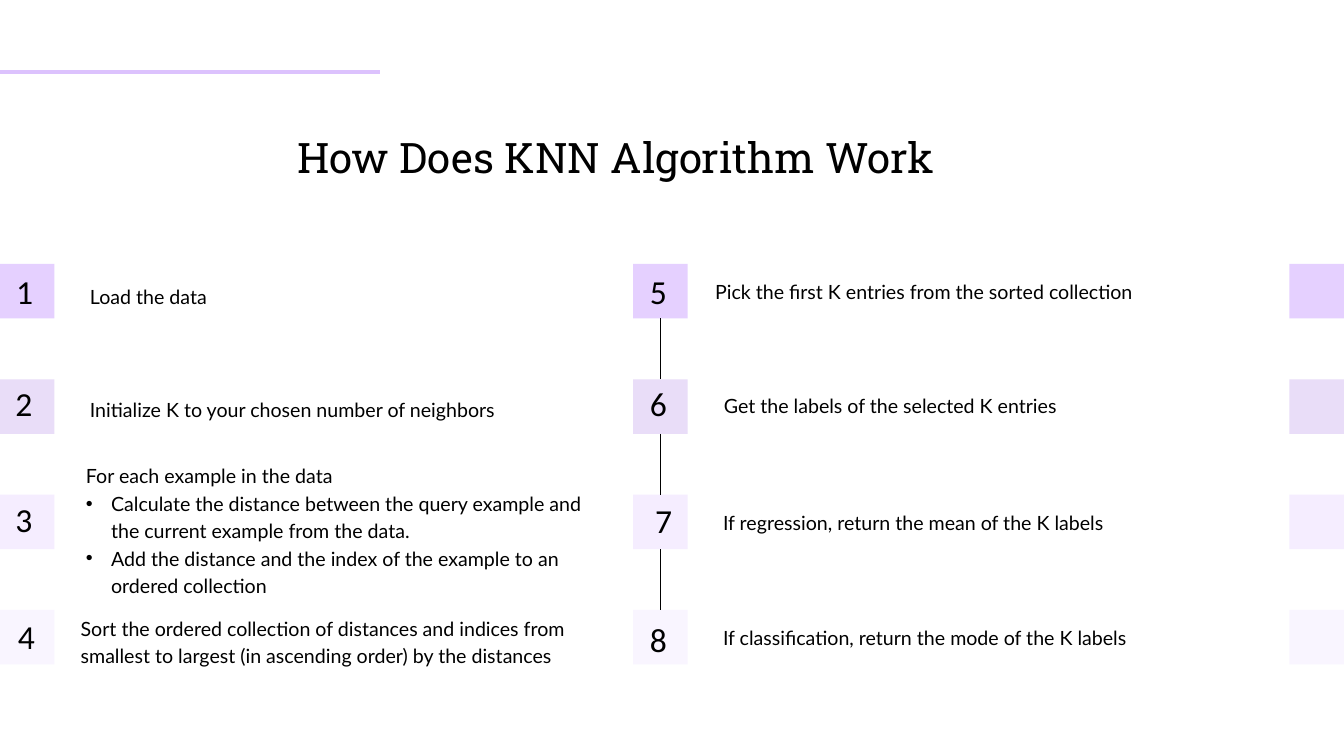
from lxml import etree
from pptx import Presentation
from pptx.dml.color import RGBColor
from pptx.enum.shapes import MSO_CONNECTOR, MSO_SHAPE
from pptx.enum.text import MSO_AUTO_SIZE, PP_ALIGN as ALIGN
from pptx.oxml.ns import qn
from pptx.util import Cm, Pt

BLACK = RGBColor(0x00, 0x00, 0x00)
LILAC = RGBColor(0xDC, 0xC2, 0xFD)
ROW_FILLS = [
    RGBColor(0xE5, 0xD0, 0xFF),
    RGBColor(0xE9, 0xDD, 0xF8),
    RGBColor(0xF5, 0xED, 0xFF),
    RGBColor(0xF9, 0xF5, 0xFF),
]

prs = Presentation()
prs.slide_width, prs.slide_height = Cm(50.8), Cm(28.58)
s = prs.slides.add_slide(prs.slide_layouts[6])


def add_text(box, lines, font, size, spacing=None, align=ALIGN.LEFT, inset=True):
    tb = s.shapes.add_textbox(*[Cm(v) for v in box])
    tf = tb.text_frame
    tf.word_wrap = True
    tf.auto_size = MSO_AUTO_SIZE.SHAPE_TO_FIT_TEXT
    if not inset:
        tf.margin_left = tf.margin_top = tf.margin_right = tf.margin_bottom = 0
    for i, line in enumerate(lines):
        p = tf.paragraphs[0] if i == 0 else tf.add_paragraph()
        p.text = line
        p.alignment = align
        p.font.name, p.font.size = font, Pt(size)
        p.font.color.rgb = BLACK
        if spacing:
            p.line_spacing = Pt(spacing)
    return tf


def add_line(x1, y1, x2, y2, color, width):
    ln = s.shapes.add_connector(MSO_CONNECTOR.STRAIGHT, Cm(x1), Cm(y1), Cm(x2), Cm(y2))
    ln.line.color.rgb = color
    ln.line.width = Pt(width)
    etree.SubElement(ln._element.spPr, qn("a:effectLst"))
    return ln


# Accent line and title
add_line(0, 2.72, 14.35, 2.72, LILAC, 3.75)
add_text((10.52, 4.52, 25.53, 2.36), ["How Does KNN Algorithm Work"],
         "Roboto Slab", 45, 63, ALIGN.CENTER)

# Squares: three columns, four rows
SIDE, TOP, PITCH = 2.06, 9.98, 4.36
MIDDLE = 23.93
middle_squares = []
for row, fill in enumerate(ROW_FILLS):
    for x in (0, MIDDLE, 50.8 - SIDE):
        sp = s.shapes.add_shape(MSO_SHAPE.RECTANGLE, Cm(x), Cm(TOP + row * PITCH),
                                Cm(SIDE), Cm(SIDE))
        sp.shadow.inherit = False
        sp.fill.solid()
        sp.fill.fore_color.rgb = fill
        sp.line.fill.background()
        if x == MIDDLE:
            middle_squares.append(sp)

# Lines joining the middle squares
for upper, lower in zip(middle_squares, middle_squares[1:]):
    ln = add_line(0, 0, 0, 0, BLACK, 0.75)
    ln.begin_connect(upper, 2)
    ln.end_connect(lower, 0)

# Steps: number position, text box, alignment, text
steps = [
    ((0.36, 10.11), (3.4, 10.62, 13.16, 0.94), ALIGN.LEFT, ["Load the data"]),
    ((0.33, 14.35), (3.4, 14.88, 18.69, 0.94), ALIGN.LEFT,
     ["Initialize K to your chosen number of neighbors"]),
    ((0.33, 18.72), (3.25, 17.4, 19.48, 5.08), ALIGN.LEFT,
     ["For each example in the data",
      "Calculate the distance between the query example and the current example from the data.",
      "Add the distance and the index of the example to an ordered collection"]),
    ((0.43, 23.16), (3.05, 23.16, 20.09, 1.96), ALIGN.LEFT,
     ["Sort the ordered collection of distances and indices from smallest to largest "
      "(in ascending order) by the distances"]),
    ((24.31, 10.13), (27.03, 10.44, 17.58, 0.94), ALIGN.JUSTIFY,
     ["Pick the first K entries from the sorted collection"]),
    ((24.31, 14.35), (27.36, 14.76, 13.16, 0.94), ALIGN.JUSTIFY,
     ["Get the labels of the selected K entries"]),
    ((24.51, 18.77), (27.33, 19.15, 17.27, 0.94), ALIGN.JUSTIFY,
     ["If regression, return the mean of the K labels"]),
    ((24.31, 23.27), (27.33, 23.52, 17.27, 0.94), ALIGN.JUSTIFY,
     ["If classification, return the mode of the K labels"]),
]
for number, (pos, box, align, lines) in enumerate(steps, 1):
    add_text((*pos, 1.47, 1.8), [str(number)], "Calibri", 36)
    tf = add_text(box, lines, "Lato", 21, 29.4, align, inset=False)
    # Lines after the first are bullets
    for p in tf.paragraphs[1:]:
        pPr = p._p.get_or_add_pPr()
        pPr.set("marL", str(Cm(0.95)))
        pPr.set("indent", str(-Cm(0.95)))
        bullet_font = etree.Element(qn("a:buFont"), typeface="Arial")
        bullet = etree.Element(qn("a:buChar"), char="•")
        pPr.find(qn("a:defRPr")).addprevious(bullet_font)
        bullet_font.addnext(bullet)

prs.save("out.pptx")
